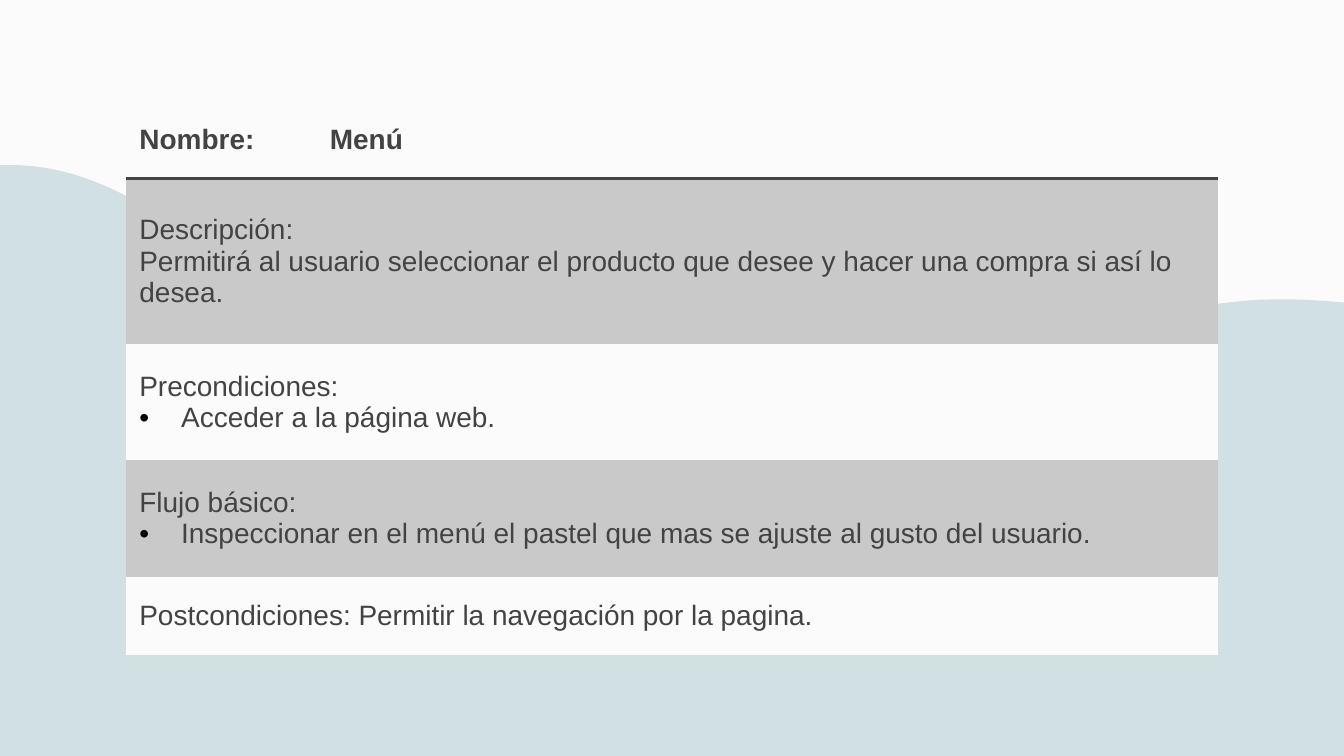
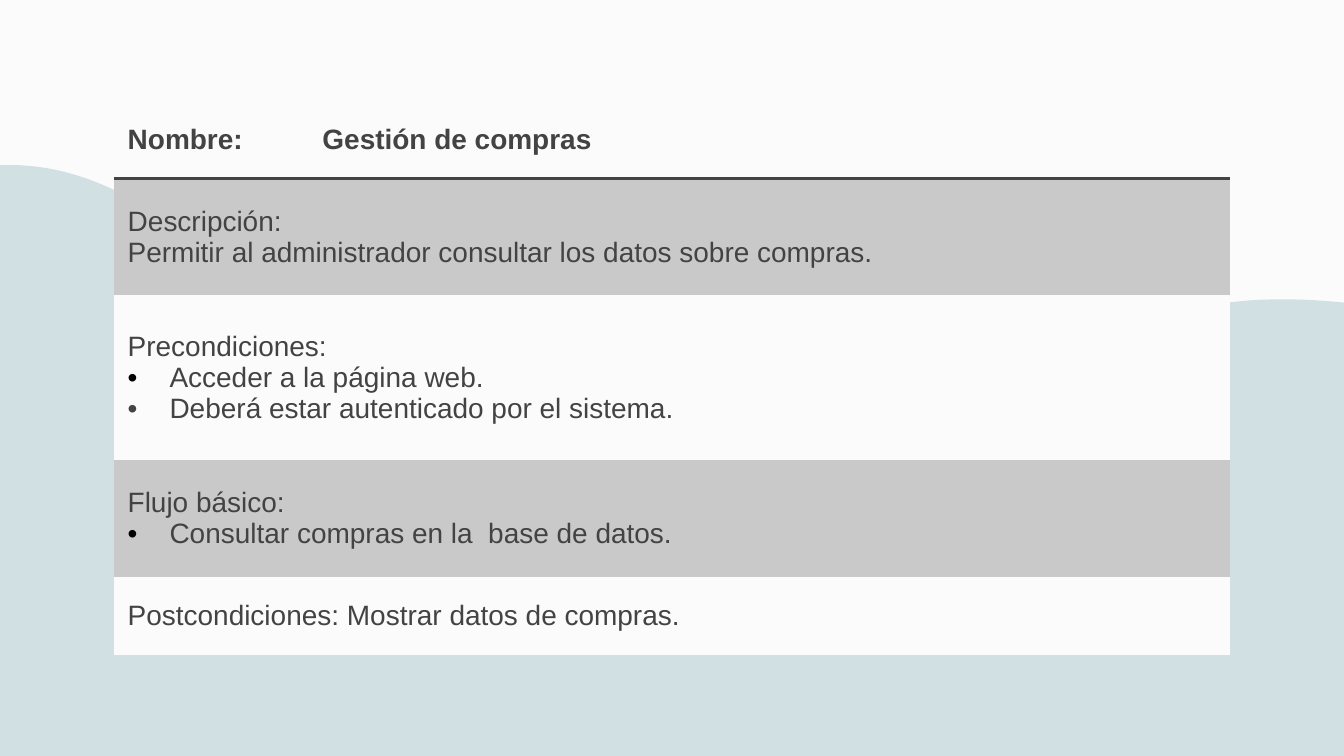
from dataclasses import dataclass
from lxml.etree import SubElement
from pptx import Presentation
from pptx.dml.color import RGBColor
from pptx.enum.text import MSO_ANCHOR
from pptx.oxml import parse_xml
from pptx.oxml.ns import nsdecls, qn
from pptx.slide import Slide
from pptx.table import _Cell as Cell
from pptx.util import Cm, Pt

WIDTH, HEIGHT = 25.4, 14.29
FONT, TEXT_SIZE = "Arial", 15
PAPER, WATER, BAND, INK, BLACK = "FBFBFB", "D0E0E3", "C9C9C9", "434343", "000000"
NO_GRID_STYLE = "{2D5ABB26-0587-4C30-8999-92F81FD0307C}"
BULLET_INDENT = Cm(0.79)
WAVE_TOP = 3.12
WAVE_START = (0.18, WAVE_TOP)
WAVE_CURVES = [
    ((3.89, 3.12), (6.2, 8.05), (10.54, 9.4)),
    ((11.33, 9.63), (12.04, 9.73), (12.67, 9.73)),
    ((16.41, 9.73), (18.14, 6.17), (23.5, 5.69)),
    ((23.77, 5.66), (24.05, 5.66), (24.33, 5.66)),
    ((24.71, 5.66), (25.07, 5.69), (WIDTH, 5.72)),
]
WAVE_CORNERS = [(WIDTH, HEIGHT), (0, HEIGHT), (0, WAVE_TOP)]


@dataclass
class Line:
    text: str
    bullet: str = ""


@dataclass
class Section:
    height: float
    lines: list[Line]


@dataclass
class UseCase:
    name: str
    left: float
    columns: tuple[float, float]
    sections: list[Section]


TABLE_TOP = 1.89
HEADER_HEIGHT = 1.49
USE_CASES = [
    UseCase("Menú", 2.38, (3.6, 17.04), [
        Section(3.12, [
            Line("Descripción:"),
            Line("Permitirá al usuario seleccionar el producto que desee "
                 "y hacer una compra si así lo desea."),
        ]),
        Section(2.2, [Line("Precondiciones:"), Line("Acceder a la página web.", BLACK)]),
        Section(2.2, [
            Line("Flujo básico:"),
            Line("Inspeccionar en el menú el pastel que mas se ajuste "
                 "al gusto del usuario.", BLACK),
        ]),
        Section(1.49, [Line("Postcondiciones: Permitir la navegación por la pagina.")]),
    ]),
    UseCase("Gestión de compras", 2.16, (3.68, 17.4), [
        Section(2.2, [
            Line("Descripción:"),
            Line("Permitir al administrador consultar los datos sobre compras."),
        ]),
        Section(3.12, [
            Line("Precondiciones:"),
            Line("Acceder a la página web.", BLACK),
            Line("Deberá estar autenticado por el sistema.", INK),
        ]),
        Section(2.2, [
            Line("Flujo básico:"),
            Line("Consultar compras en la  base de datos.", BLACK),
        ]),
        Section(1.49, [Line("Postcondiciones: Mostrar datos de compras.")]),
    ]),
]


def paint(fill, color: str) -> None:
    fill.solid()
    fill.fore_color.rgb = RGBColor.from_string(color)


def bend_segments(sp) -> None:
    segments = list(sp._element.iter(qn("a:lnTo")))
    for segment, (c1, c2, _) in zip(segments, WAVE_CURVES):
        segment.tag = qn("a:cubicBezTo")
        for i, (x, y) in enumerate((c1, c2)):
            pt = segment.makeelement(
                qn("a:pt"), {"x": str(Cm(x)), "y": str(Cm(y) - Cm(WAVE_TOP))})
            segment.insert(i, pt)


def draw_background(s: Slide) -> None:
    paint(s.background.fill, PAPER)
    ends = [curve[-1] for curve in WAVE_CURVES] + WAVE_CORNERS
    builder = s.shapes.build_freeform(*map(Cm, WAVE_START))
    builder.add_line_segments([(Cm(x), Cm(y)) for x, y in ends], close=True)
    sp = builder.convert_to_shape()
    bend_segments(sp)
    sp.shadow.inherit = False
    paint(sp.fill, WATER)
    sp.line.fill.background()


def add_bullet(p, color: str) -> None:
    pPr = p._p.get_or_add_pPr()
    pPr.set("marL", str(BULLET_INDENT))
    pPr.set("indent", str(-BULLET_INDENT))
    SubElement(SubElement(pPr, qn("a:buClr")), qn("a:srgbClr"), val=color)
    SubElement(pPr, qn("a:buFont"), typeface=FONT)
    SubElement(pPr, qn("a:buChar"), char="•")


def write_cell(cell: Cell, lines: list[Line], fill: str, bold: bool = False) -> None:
    paint(cell.fill, fill)
    cell.vertical_anchor = MSO_ANCHOR.MIDDLE
    tf = cell.text_frame
    for i, line in enumerate(lines):
        p = tf.add_paragraph() if i else tf.paragraphs[0]
        if line.bullet:
            add_bullet(p, line.bullet)
        r = p.add_run()
        r.text = line.text
        r.font.name, r.font.size, r.font.bold = FONT, Pt(TEXT_SIZE), bold
        r.font.color.rgb = RGBColor.from_string(INK)


def underline_cell(cell: Cell) -> None:
    border = parse_xml(
        f'<a:lnB {nsdecls("a")} w="{Pt(2)}"><a:solidFill>'
        f'<a:srgbClr val="{INK}"/></a:solidFill></a:lnB>')
    cell._tc.get_or_add_tcPr().insert(0, border)


def draw_use_case(s: Slide, case: UseCase) -> None:
    heights = [HEADER_HEIGHT] + [section.height for section in case.sections]
    frame = s.shapes.add_table(
        len(heights), len(case.columns), Cm(case.left), Cm(TABLE_TOP),
        Cm(sum(case.columns)), Cm(sum(heights)))
    table = frame.table
    table.horz_banding = False
    table._tbl.tblPr.find(qn("a:tableStyleId")).text = NO_GRID_STYLE
    for column, width in zip(table.columns, case.columns):
        column.width = Cm(width)
    for row, height in zip(table.rows, heights):
        row.height = Cm(height)
    for col, text in enumerate(("Nombre:", case.name)):
        cell = table.cell(0, col)
        write_cell(cell, [Line(text)], PAPER, bold=True)
        underline_cell(cell)
    for row, section in enumerate(case.sections, 1):
        cell = table.cell(row, 0)
        cell.merge(table.cell(row, 1))
        write_cell(cell, section.lines, BAND if row % 2 else PAPER)


def main() -> None:
    prs = Presentation()
    prs.slide_width, prs.slide_height = Cm(WIDTH), Cm(HEIGHT)
    for case in USE_CASES:
        s = prs.slides.add_slide(prs.slide_layouts[6])
        draw_background(s)
        draw_use_case(s, case)
    prs.save("out.pptx")


if __name__ == "__main__":
    main()
